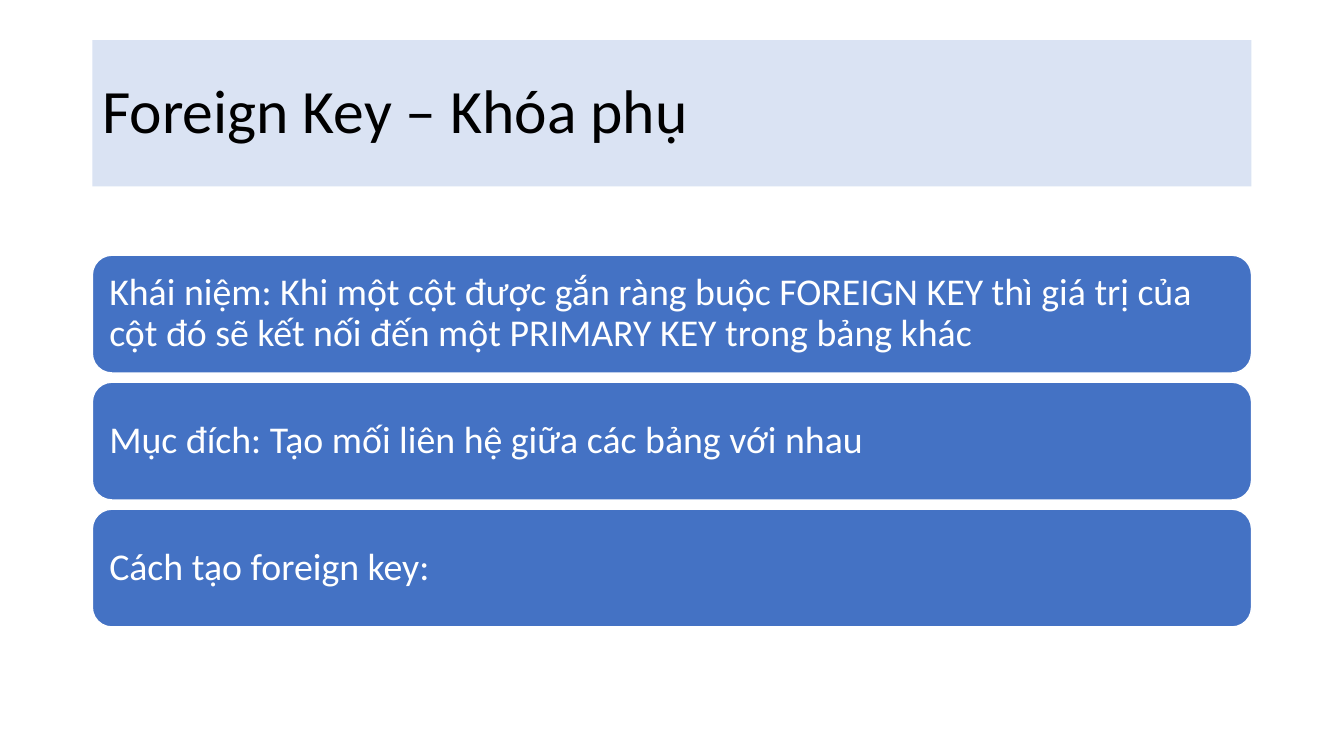
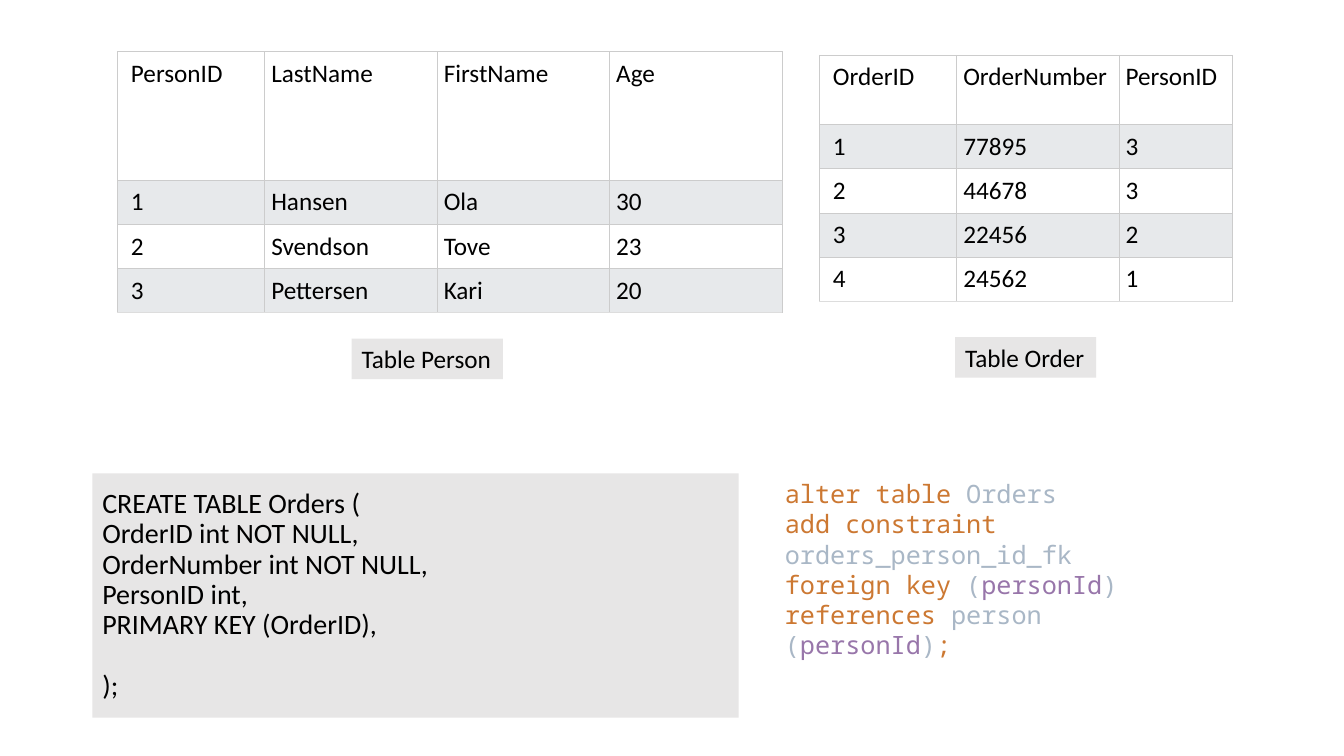
from lxml import etree
from pptx import Presentation
from pptx import util as u
from pptx.dml.color import RGBColor
from pptx.enum import shapes, text
from pptx.oxml import ns

Pt = u.Pt
COLOURS = {
    "black": "000000", "white": "FFFFFF", "band": "DAE3F3", "card": "4472C4",
    "panel": "E7E6E6", "stripe": "E7E9EB", "grid": "CCCCCC", "grid_end": "DDDDDD",
    "keyword": "CC7832", "name": "A9B7C6", "column": "9876AA",
}
BODY_FONT, CODE_FONT = "Calibri", "Noto Sans Mono"
MARGIN, CONTENT_WIDTH = 66, 828
CELL_INSET, ROW_HEIGHT, GRID_WEIGHT = 4.8, 31.56, 0.6


def colour(name):
    return RGBColor.from_string(COLOURS[name])


def add_run(paragraph, words, size, ink="black", font=BODY_FONT):
    run = paragraph.add_run()
    run.text = words
    run.font.size = Pt(size)
    run.font.name = font
    run.font.color.rgb = colour(ink)


def add_panel(slide, box, fill, kind=shapes.MSO_SHAPE.RECTANGLE):
    """A filled shape with left-aligned, vertically centred text."""
    shape = slide.shapes.add_shape(kind, *map(Pt, box))
    shape.shadow.inherit = False
    shape.fill.solid()
    shape.fill.fore_color.rgb = colour(fill)
    shape.line.fill.background()
    frame = shape.text_frame
    frame.word_wrap = True
    frame.vertical_anchor = text.MSO_ANCHOR.MIDDLE
    frame.paragraphs[0].alignment = text.PP_ALIGN.LEFT
    return shape


def add_title(slide, box, lines, size, fill, last_gap=0):
    """Title panel, one paragraph a line, with a gap before the last."""
    frame = add_panel(slide, box, fill).text_frame
    for index, line in enumerate(lines):
        paragraph = frame.paragraphs[0] if index == 0 else frame.add_paragraph()
        paragraph.alignment = text.PP_ALIGN.LEFT
        paragraph.line_spacing = 0.9
        add_run(paragraph, line, size)
    if last_gap:
        paragraph.space_before = Pt(last_gap)


def add_cards(slide, box, statements, gap):
    """Equal rounded cards stacked down the box."""
    left, top, width, height = box
    card_height = (height - gap * (len(statements) - 1)) / len(statements)
    for index, statement in enumerate(statements):
        card_top = top + index * (card_height + gap)
        card = add_panel(slide, (left, card_top, width, card_height), "card",
                         shapes.MSO_SHAPE.ROUNDED_RECTANGLE)
        card.line.color.rgb = colour("white")
        card.line.width = Pt(1)
        frame = card.text_frame
        frame.margin_left = frame.margin_right = Pt(8)
        frame.margin_top = frame.margin_bottom = Pt(8)
        frame.paragraphs[0].line_spacing = 0.9
        add_run(frame.paragraphs[0], statement, 27, "white")


def add_borders(cell, bottom):
    properties = cell._tc.get_or_add_tcPr()
    edges = {"lnL": "grid", "lnR": "grid", "lnT": "grid", "lnB": bottom}
    for tag, name in edges.items():
        line = etree.SubElement(properties, ns.qn("a:" + tag), w=str(Pt(GRID_WEIGHT)))
        fill = etree.SubElement(line, ns.qn("a:solidFill"))
        etree.SubElement(fill, ns.qn("a:srgbClr"), val=COLOURS[name])


def add_data_table(slide, left, top, widths, header_height, rows):
    """Striped grid with a tall header row."""
    heights = [header_height] + [ROW_HEIGHT] * (len(rows) - 1)
    table = slide.shapes.add_table(len(rows), len(widths), Pt(left), Pt(top),
                                   Pt(sum(widths)), Pt(sum(heights))).table
    table.first_row = table.horz_banding = False
    for column, width in zip(table.columns, widths):
        column.width = Pt(width)
    for row_index, values in enumerate(rows):
        table.rows[row_index].height = Pt(heights[row_index])
        for column_index, value in enumerate(values):
            cell = table.cell(row_index, column_index)
            cell.margin_left = Pt(CELL_INSET if column_index else 2 * CELL_INSET)
            cell.margin_top = cell.margin_right = cell.margin_bottom = Pt(CELL_INSET)
            add_borders(cell, "grid_end" if row_index == len(rows) - 1 else "grid")
            cell.fill.solid()
            cell.fill.fore_color.rgb = colour("stripe" if row_index % 2 else "white")
            add_run(cell.text_frame.paragraphs[0], value, 18)


def add_caption(slide, box, words):
    frame = add_panel(slide, box, "panel").text_frame
    frame.word_wrap = False
    frame.vertical_anchor = text.MSO_ANCHOR.TOP
    frame.auto_size = text.MSO_AUTO_SIZE.SHAPE_TO_FIT_TEXT
    add_run(frame.paragraphs[0], words, 18)


def add_code(slide, box, lines):
    """Coloured code: each line is a list of (words, colour) pairs."""
    frame = slide.shapes.add_textbox(*map(Pt, box)).text_frame
    frame.word_wrap = True
    frame.auto_size = text.MSO_AUTO_SIZE.SHAPE_TO_FIT_TEXT
    paragraph = frame.paragraphs[0]
    for index, line in enumerate(lines):
        if index:
            paragraph.add_line_break()
        for words, ink in line:
            add_run(paragraph, words, 18, ink, CODE_FONT)


def build_concept_slide(slide):
    add_title(slide, (MARGIN, 28.75, CONTENT_WIDTH, 104.4),
              ["Foreign Key – Khóa phụ"], 44, "band")
    add_cards(slide, (MARGIN, 182.3, CONTENT_WIDTH, 265.5), [
        "Khái niệm: Khi một cột được gắn ràng buộc FOREIGN KEY thì giá trị của "
        "cột đó sẽ kết nối đến một PRIMARY KEY trong bảng khác",
        "Mục đích: Tạo mối liên hệ giữa các bảng với nhau",
        "Cách tạo foreign key:",
    ], gap=6.6)


def build_example_slide(slide):
    # SQL that creates the table
    add_title(slide, (MARGIN, 338.2, 461.6, 174.4), [
        "CREATE TABLE Orders (", "OrderID int NOT NULL,", "OrderNumber int NOT NULL,",
        "PersonID int,", "PRIMARY KEY (OrderID),", ");",
    ], 20, "panel", last_gap=22)

    # Data tables and captions
    add_data_table(slide, 84, 36.7, [105, 123.2, 123.2, 123.2], 92, [
        ["PersonID", "LastName", "FirstName", "Age"],
        ["1", "Hansen", "Ola", "30"],
        ["2", "Svendson", "Tove", "23"],
        ["3", "Pettersen", "Kari", "20"],
    ])
    add_data_table(slide, 585.4, 39.5, [97.9, 116, 80.8], 49.5, [
        ["OrderID", "OrderNumber", "PersonID"],
        ["1", "77895", "3"],
        ["2", "44678", "3"],
        ["3", "22456", "2"],
        ["4", "24562", "1"],
    ])
    add_caption(slide, (251.2, 241.8, 108, 29), "Table Person")
    add_caption(slide, (682.3, 240.8, 100.8, 29), "Table Order")

    # SQL that adds the foreign key
    add_code(slide, (553.5, 338.2, 322, 94.5), [
        [("alter table ", "keyword"), ("Orders", "name")],
        [("add constraint ", "keyword"), ("orders_person_id_fk", "name")],
        [("foreign key ", "keyword"), ("(", "name"), ("personId", "column"), (")", "name")],
        [("references ", "keyword"), ("person (", "name"), ("personId", "column"),
         (")", "name"), (";", "keyword")],
    ])


presentation = Presentation()
presentation.slide_width, presentation.slide_height = Pt(960), Pt(540)
for build in (build_concept_slide, build_example_slide):
    build(presentation.slides.add_slide(presentation.slide_layouts[6]))
presentation.save("out.pptx")
